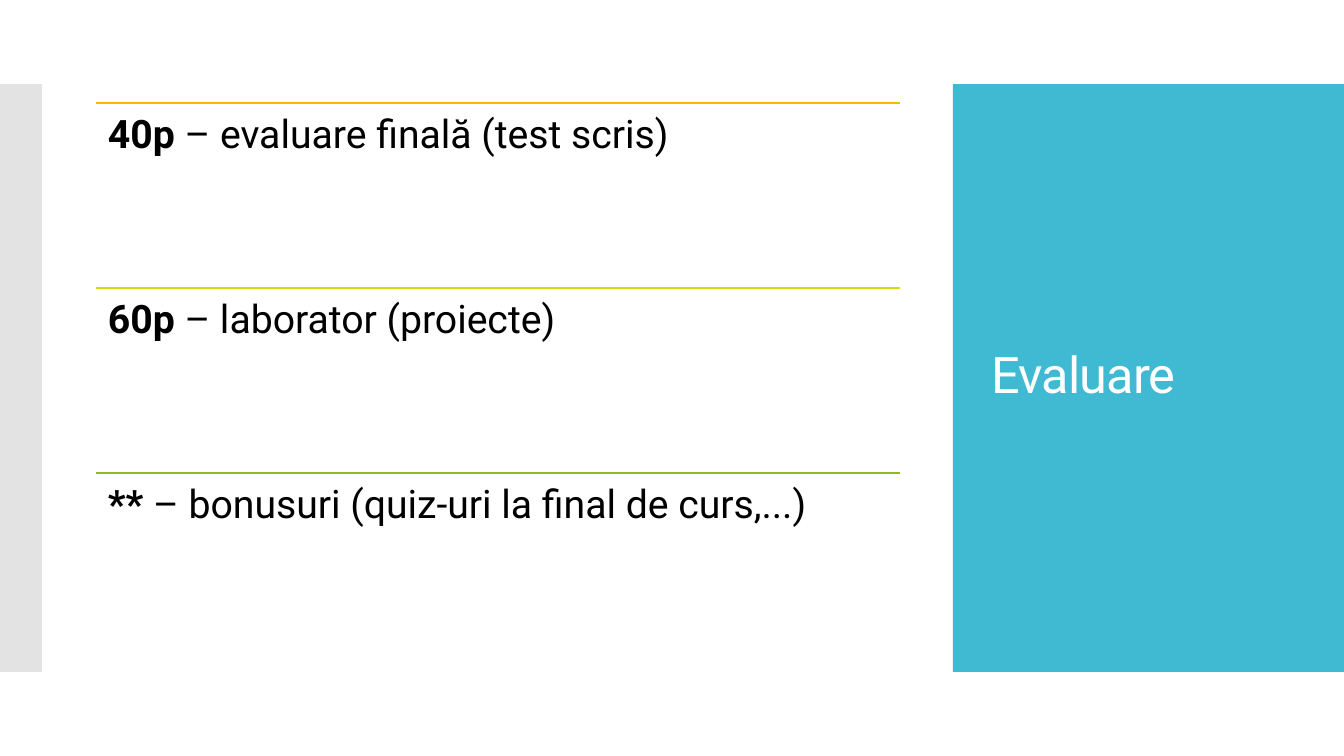
from lxml.etree import SubElement
from pptx import Presentation
from pptx.dml.color import RGBColor
from pptx.enum.shapes import MSO_CONNECTOR, MSO_SHAPE
from pptx.enum.text import MSO_ANCHOR, MSO_AUTO_SIZE, PP_ALIGN
from pptx.oxml.ns import qn
from pptx.util import Emu, Pt

PX_PER_INCH = 100.8
FONT = "Roboto"
PANEL_TOP, PANEL_HEIGHT = 84, 588
ITEM_LEFT, ITEM_WIDTH = 96, 804
FIRST_ITEM_TOP, ITEM_HEIGHT = 103, 185
ITEM_INSET = 12
ITEMS = [
    ("FAB900", "40p ", "– evaluare finală (test scris)"),
    ("D7D913", "60p", " – laborator (proiecte)"),
    ("90BB23", "** ", "– bonusuri (quiz-uri la final de curs,...)"),
]


def px(length):
    return Emu(round(length * 914400 / PX_PER_INCH))


def color(hex_string):
    return RGBColor.from_string(hex_string)


def style_para(para, size, hex_string):
    para.alignment = PP_ALIGN.LEFT
    para.line_spacing = 0.9
    para.font.name = FONT
    para.font.size = Pt(size)
    para.font.color.rgb = color(hex_string)


def add_panel(page, left, width, hex_string, opacity=100):
    panel = page.shapes.add_shape(
        MSO_SHAPE.RECTANGLE, px(left), px(PANEL_TOP), px(width), px(PANEL_HEIGHT))
    panel.shadow.inherit = False
    panel.line.fill.background()
    panel.fill.solid()
    panel.fill.fore_color.rgb = color(hex_string)
    if opacity < 100:
        shade = panel.fill._xPr.find(".//" + qn("a:srgbClr"))
        SubElement(shade, qn("a:alpha")).set("val", str(opacity * 1000))


def set_title(page, text):
    title = page.shapes.title
    # Bring the title in front of its panel
    page.shapes.element.append(title.element)
    title.left, title.top = px(981), px(124)
    title.width, title.height = px(325), px(507)
    frame = title.text_frame
    frame.text = text
    frame.word_wrap = True
    frame.auto_size = MSO_AUTO_SIZE.NONE
    frame.vertical_anchor = MSO_ANCHOR.MIDDLE
    para = frame.paragraphs[0]
    style_para(para, 36, "FFFFFF")
    para.runs[0].font._element.set("spc", "-60")


def add_rule(page, top, hex_string):
    rule = page.shapes.add_connector(
        MSO_CONNECTOR.STRAIGHT, px(ITEM_LEFT), px(top), px(ITEM_LEFT + ITEM_WIDTH), px(top))
    rule.line.color.rgb = color(hex_string)
    rule.line.width = Pt(0.85)
    SubElement(rule.element.spPr, qn("a:effectLst"))


def add_item(page, top, points, description):
    box = page.shapes.add_textbox(px(ITEM_LEFT), px(top), px(ITEM_WIDTH), px(ITEM_HEIGHT))
    frame = box.text_frame
    frame.word_wrap = True
    frame.margin_left = frame.margin_right = px(ITEM_INSET)
    frame.margin_top = frame.margin_bottom = px(ITEM_INSET)
    para = frame.paragraphs[0]
    style_para(para, 28, "000000")
    for text, bold in ((points, True), (description, False)):
        span = para.add_run()
        span.text = text
        span.font.bold = bold


def main():
    deck = Presentation()
    deck.slide_width, deck.slide_height = px(1344), px(756)
    page = deck.slides.add_slide(deck.slide_layouts[5])
    add_panel(page, 953, 391, "40BAD2")
    set_title(page, "Evaluare")
    add_panel(page, 0, 42, "C8C8C8", opacity=50)
    for index, (rule_color, points, description) in enumerate(ITEMS):
        top = FIRST_ITEM_TOP + index * ITEM_HEIGHT
        add_rule(page, top, rule_color)
        add_item(page, top, points, description)
    deck.save("out.pptx")


if __name__ == "__main__":
    main()
